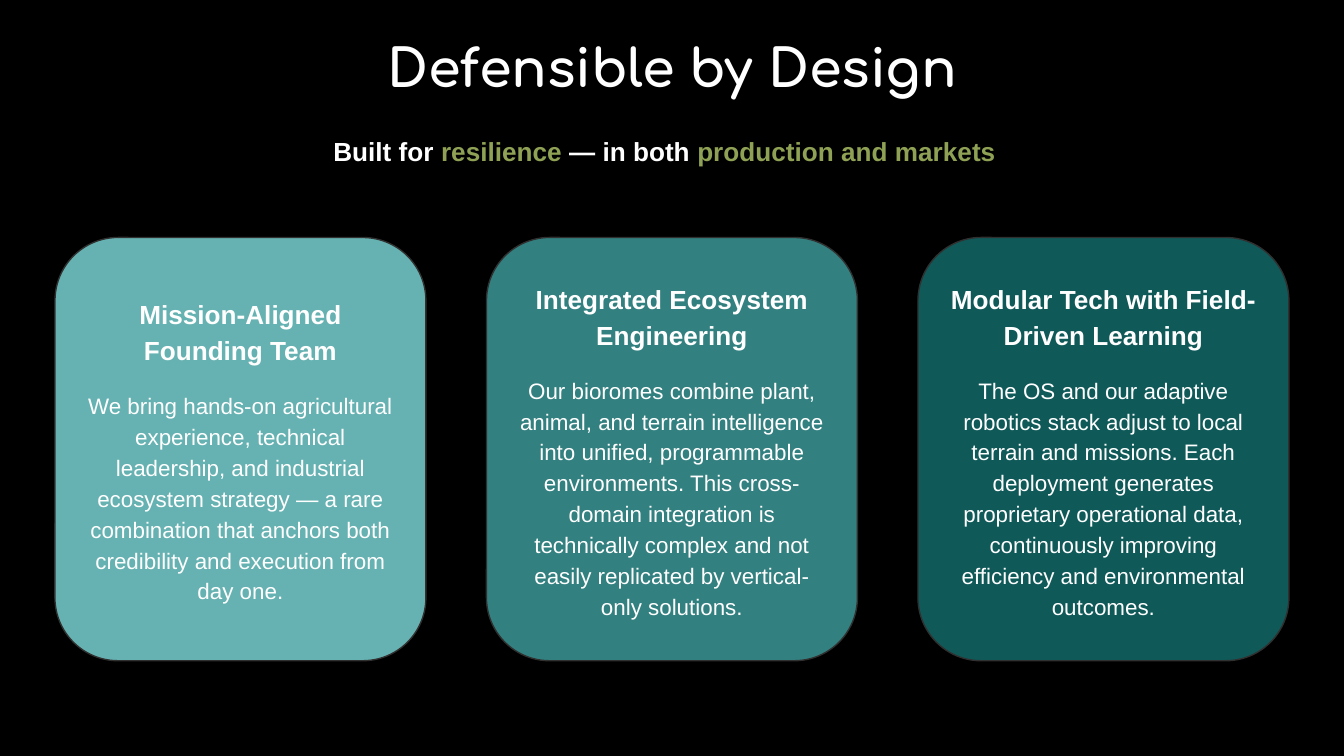
from dataclasses import dataclass

from pptx import Presentation
from pptx.dml.color import RGBColor
from pptx.enum.shapes import MSO_SHAPE
from pptx.enum.text import MSO_ANCHOR, MSO_AUTO_SIZE, PP_ALIGN
from pptx.util import Cm, Pt


@dataclass(frozen=True)
class Theme:
    background: str = "000000"
    text: str = "FFFFFF"
    accent: str = "8FA154"
    outline: str = "303030"
    cards: tuple = ("66B2B2", "338080", "105959")
    title_font: str = "Comfortaa"
    body_font: str = "Arial"
    title_size: int = 28
    heading_size: int = 14
    body_size: int = 12
    line_spacing: float = 1.15
    gap: int = 12


THEME = Theme()

PILLARS = [
    ("Mission-Aligned Founding Team",
     "We bring hands-on agricultural experience, technical leadership, and "
     "industrial ecosystem strategy — a rare combination that anchors both "
     "credibility and execution from day one."),
    ("Integrated Ecosystem Engineering",
     "Our bioromes combine plant, animal, and terrain intelligence into "
     "unified, programmable environments. This cross-domain integration is "
     "technically complex and not easily replicated by vertical-only solutions."),
    ("Modular Tech with Field-Driven Learning",
     "The OS and our adaptive robotics stack adjust to local terrain and "
     "missions. Each deployment generates proprietary operational data, "
     "continuously improving efficiency and environmental outcomes."),
]

TAGLINE = [
    ("Built for ", THEME.text),
    ("resilience", THEME.accent),
    (" — in both ", THEME.text),
    ("production and markets", THEME.accent),
]


def apply_format(target, values):
    for name, value in values.items():
        setattr(target, name, value)


def paint(fill, color):
    fill.solid()
    fill.fore_color.rgb = RGBColor.from_string(color)


def frame_format(across, down, anchor):
    return {
        "margin_left": across, "margin_right": across,
        "margin_top": down, "margin_bottom": down,
        "vertical_anchor": anchor, "word_wrap": True,
        "auto_size": MSO_AUTO_SIZE.NONE,
    }


def add_words(paragraph, words, color, size, bold=True, font=THEME.body_font):
    run = paragraph.add_run()
    run.text = words
    apply_format(run.font, {"name": font, "size": Pt(size), "bold": bold})
    run.font.color.rgb = RGBColor.from_string(color)


def place_title(slide, left, top, width, height):
    title = slide.shapes.title
    apply_format(title, {"left": left, "top": top, "width": width, "height": height})
    apply_format(title.text_frame, frame_format(Cm(0.25), Cm(0.13), MSO_ANCHOR.MIDDLE))
    heading = title.text_frame.paragraphs[0]
    heading.alignment = PP_ALIGN.CENTER
    add_words(heading, "Defensible by Design", THEME.text, THEME.title_size,
              font=THEME.title_font)


def place_tagline(slide, left, top, width, height):
    tagline = slide.shapes.add_textbox(left, top, width, height).text_frame
    apply_format(tagline, frame_format(Cm(0.25), Cm(0.25), MSO_ANCHOR.TOP))
    sentence = tagline.paragraphs[0]
    sentence.line_spacing = THEME.line_spacing
    for words, color in TAGLINE:
        add_words(sentence, words, color, THEME.heading_size)


def place_card(slide, left, top, width, height, pillar, color):
    card = slide.shapes.add_shape(MSO_SHAPE.ROUNDED_RECTANGLE, left, top, width, height)
    card.adjustments[0] = 0.17
    card.shadow.inherit = False
    paint(card.fill, color)
    paint(card.line.fill, THEME.outline)
    card.line.width = Pt(0.75)
    apply_format(card.text_frame, frame_format(Cm(0.25), Cm(0.25), MSO_ANCHOR.MIDDLE))

    heading, explanation = pillar
    centred = {"alignment": PP_ALIGN.CENTER, "line_spacing": THEME.line_spacing}
    first = card.text_frame.paragraphs[0]
    apply_format(first, centred)
    add_words(first, heading, THEME.text, THEME.heading_size)
    second = card.text_frame.add_paragraph()
    apply_format(second, centred | {"space_before": Pt(THEME.gap)})
    add_words(second, explanation, THEME.text, THEME.body_size, bold=False)


def place_cards(slide, left, top, width, height):
    card_width = Cm(7.01)
    step = (width - card_width) // (len(PILLARS) - 1)
    for index, (pillar, color) in enumerate(zip(PILLARS, THEME.cards)):
        place_card(slide, left + index * step, top, card_width, height, pillar, color)


def main():
    deck = Presentation()
    apply_format(deck, {"slide_width": Cm(25.4), "slide_height": Cm(14.29)})
    slide = deck.slides.add_slide(deck.slide_layouts[5])
    paint(slide.background.fill, THEME.background)
    place_title(slide, Cm(0), Cm(0.51), deck.slide_width, Cm(1.5))
    place_tagline(slide, Cm(6.05), Cm(2.22), Cm(13.31), Cm(1.12))
    place_cards(slide, Cm(1.04), Cm(4.49), Cm(23.32), Cm(8))
    deck.save("out.pptx")


if __name__ == "__main__":
    main()
